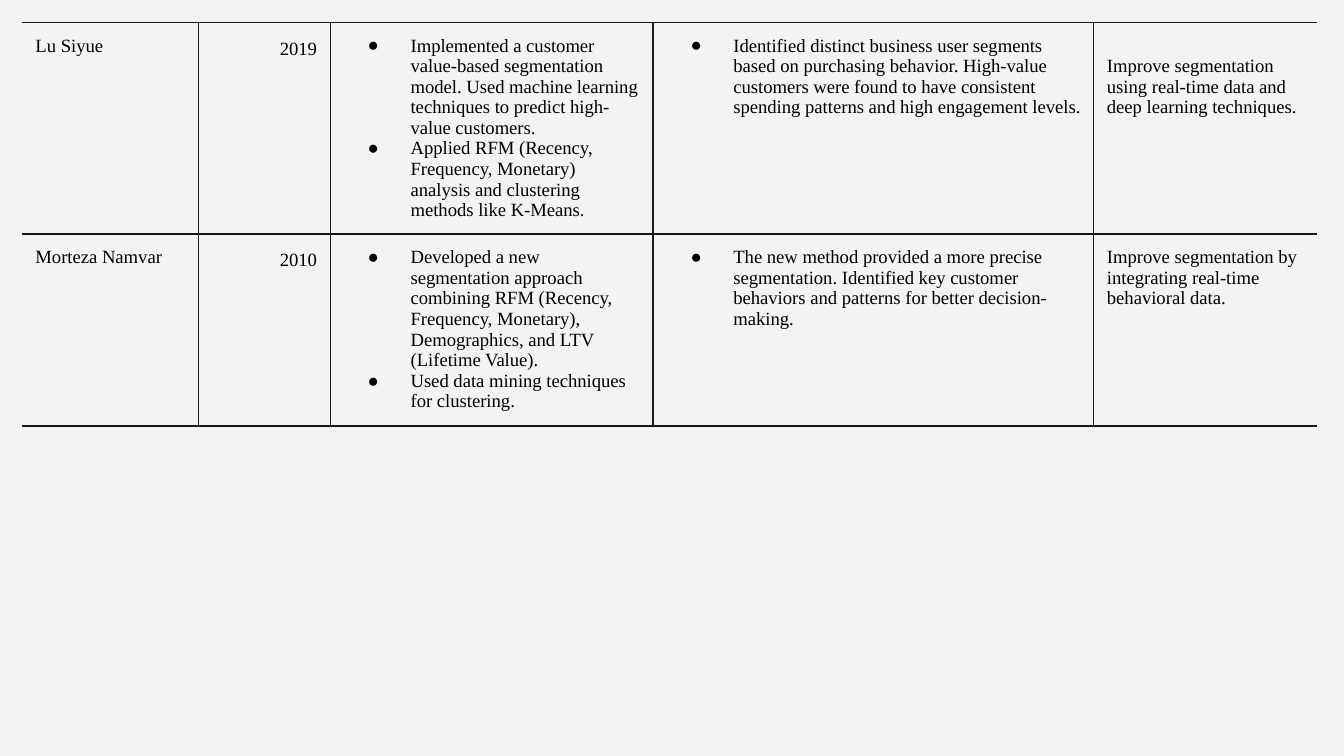
"""Build a slide with a table of customer segmentation studies."""
from lxml import etree
from pptx import Presentation
from pptx.dml.color import RGBColor
from pptx.enum.text import PP_ALIGN
from pptx.oxml.ns import qn
from pptx.util import Cm, Pt

RIGHT = PP_ALIGN.RIGHT
FONT = "Times New Roman"
COLORS = {"background": "F3F3F3", "text": "000000", "rule": "191919"}

STUDIES = [
    {
        "author": "Lu Siyue",
        "year": "2019",
        "methods": [
            "Implemented a customer value-based segmentation model. Used machine "
            "learning techniques to predict high-value customers.",
            "Applied RFM (Recency, Frequency, Monetary) analysis and clustering "
            "methods like K-Means.",
        ],
        "findings": [
            "Identified distinct business user segments based on purchasing "
            "behavior. High-value customers were found to have consistent "
            "spending patterns and high engagement levels.",
        ],
        "future": "Improve segmentation using real-time data and deep learning "
                  "techniques.",
        "height": 4.0,
        "future_top": 0.64,
    },
    {
        "author": "Morteza Namvar",
        "year": "2010",
        "methods": [
            "Developed a new segmentation approach combining RFM (Recency, "
            "Frequency, Monetary), Demographics, and LTV (Lifetime Value).",
            "Used data mining techniques for clustering.",
        ],
        "findings": [
            "The new method provided a more precise segmentation. Identified key "
            "customer behaviors and patterns for better decision-making.",
        ],
        "future": "Improve segmentation by integrating real-time behavioral data.",
        "height": 3.63,
        "future_top": 0.25,
    },
]
COLUMNS = {"author": 3.33, "year": 2.49, "methods": 6.1, "findings": 8.33,
           "future": 4.22}
LEFT, TOP, MARGIN = 0.42, 0.42, 0.25
INDENT, HANGING = 1.27, 0.81


def add_borders(cell, hidden_sides):
    properties = cell._tc.get_or_add_tcPr()
    for side in "LRTB":
        line = etree.SubElement(properties, qn(f"a:ln{side}"), w=str(Pt(0.75)))
        if side in hidden_sides:
            etree.SubElement(line, qn("a:noFill"))
        else:
            fill = etree.SubElement(line, qn("a:solidFill"))
            etree.SubElement(fill, qn("a:srgbClr"), val=COLORS["rule"])


def add_bullet(paragraph):
    properties = paragraph._p.get_or_add_pPr()
    properties.set("marL", str(Cm(INDENT)))
    properties.set("indent", str(-Cm(HANGING)))
    color = etree.SubElement(properties, qn("a:buClr"))
    etree.SubElement(color, qn("a:srgbClr"), val=COLORS["text"])
    etree.SubElement(properties, qn("a:buFont"), typeface=FONT)
    etree.SubElement(properties, qn("a:buChar"), char="●")


def write_cell(cell, content, column):
    bulleted = isinstance(content, list)
    for index, statement in enumerate(content if bulleted else [content]):
        frame = cell.text_frame
        paragraph = frame.add_paragraph() if index else frame.paragraphs[0]
        if bulleted:
            add_bullet(paragraph)
        if column == "year":
            paragraph.alignment = RIGHT
            paragraph.line_spacing = 1.15
        run = paragraph.add_run()
        run.text = statement
        run.font.name = FONT
        run.font.size = Pt(10)
        run.font.color.rgb = RGBColor.from_string(COLORS["text"])


def main():
    presentation = Presentation()
    presentation.slide_width, presentation.slide_height = Cm(25.4), Cm(14.29)
    slide = presentation.slides.add_slide(presentation.slide_layouts[6])
    background = slide.background.fill
    background.solid()
    background.fore_color.rgb = RGBColor.from_string(COLORS["background"])

    height = sum(study["height"] for study in STUDIES)
    table = slide.shapes.add_table(
        len(STUDIES), len(COLUMNS), Cm(LEFT), Cm(TOP),
        Cm(sum(COLUMNS.values())), Cm(height)).table
    table.first_row = table.horz_banding = False
    hidden_sides = {"author": "L", "future": "R"}

    for number, (column, width) in enumerate(COLUMNS.items()):
        table.columns[number].width = Cm(width)
        for row, study in enumerate(STUDIES):
            table.rows[row].height = Cm(study["height"])
            cell = table.cell(row, number)
            cell.margin_left = cell.margin_right = Cm(MARGIN)
            cell.margin_top = cell.margin_bottom = Cm(MARGIN)
            if column == "future":
                cell.margin_top = Cm(study["future_top"])
            add_borders(cell, hidden_sides.get(column, ""))
            cell.fill.background()
            write_cell(cell, study[column], column)

    presentation.save("out.pptx")


if __name__ == "__main__":
    main()
